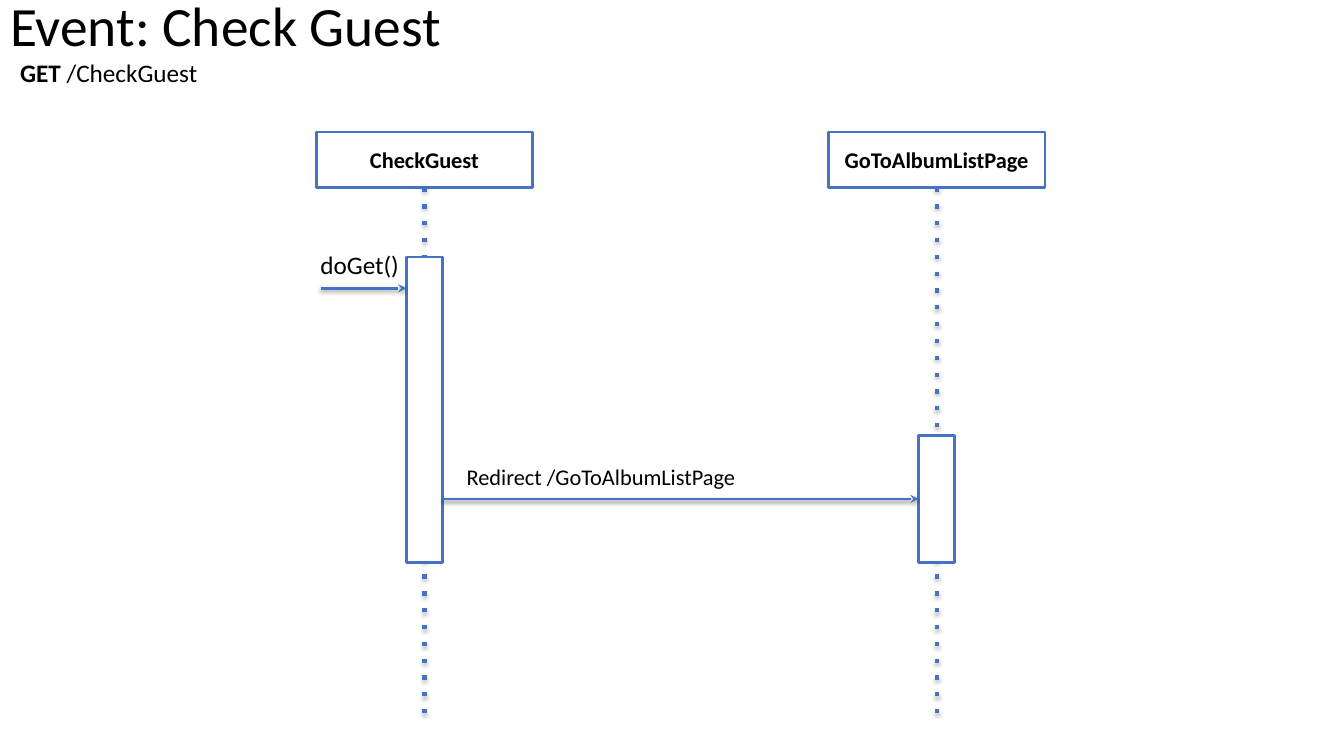
"""Build a sequence diagram slide for the Check Guest event."""
import lxml.etree
import pptx
import pptx.dml.color
import pptx.enum.shapes
import pptx.enum.text
import pptx.oxml.ns
import pptx.util

Inches, Pt = pptx.util.Inches, pptx.util.Pt
ALIGN, ANCHOR = pptx.enum.text.PP_ALIGN, pptx.enum.text.MSO_ANCHOR
FIT = pptx.enum.text.MSO_AUTO_SIZE

TITLE = ("Event: Check Guest", (0, 0.01, 4.97, 0.55))
LABELS = [
    ([("GET", True), (" /CheckGuest", False)], (0.1, 0.52, 1.98, 0.4), "body", False),
    ([("doGet()", False)], (3.08, 2.42, 0.99, 0.4), "body", False),
    ([("Redirect /GoToAlbumListPage", False)], (4.53, 4.55, 3.14, 0.37), "small", True),
]
LIFELINES = [
    {"name": "GoToAlbumListPage", "center": 9.29, "active": (4.32, 5.58)},
    {"name": "CheckGuest", "center": 4.21, "active": (2.55, 5.58)},
]
MESSAGES = [(3.18, 4.03, 2.86), (4.39, 9.11, 4.95)]

HEAD_TOP, HEAD_WIDTH, HEAD_HEIGHT = 1.31, 2.15, 0.55
LIFELINE_BOTTOM, BAR_WIDTH = 7.11, 0.36
THEME = {
    "font": "Calibri",
    "ink": pptx.dml.color.RGBColor.from_string("000000"),
    "paper": pptx.dml.color.RGBColor.from_string("FFFFFF"),
    "accent": pptx.dml.color.RGBColor.from_string("4472C4"),
    "title": 39.6, "body": 18, "small": 16,
    "outline": 2, "lifeline": 3,
}
LIFELINE_SHADOW = {"alpha": 35, "dist": 1.8}
MESSAGE_SHADOW = {"alpha": 38, "dist": 1.6}
SHADOW_BLUR = 3.1


def set_all(target, values):
    for key, value in values.items():
        setattr(target, key, value)


def add_child(parent, tag, **attributes):
    child = lxml.etree.SubElement(parent, pptx.oxml.ns.qn(tag))
    for key, value in attributes.items():
        child.set(key, str(value))
    return child


def write(frame, runs, size, frame_format, paragraph_format):
    set_all(frame, frame_format)
    paragraph = frame.paragraphs[0]
    set_all(paragraph, paragraph_format)
    for text, bold in runs:
        run = paragraph.add_run()
        run.text = text
        set_all(run.font, {"name": THEME["font"], "size": Pt(THEME[size]), "bold": bold})
        run.font.color.rgb = THEME["ink"]


def add_box(slide, left, top, width, height):
    box = slide.shapes.add_shape(
        pptx.enum.shapes.MSO_SHAPE.RECTANGLE, *map(Inches, (left, top, width, height)))
    box.shadow.inherit = False
    box.fill.solid()
    box.fill.fore_color.rgb = THEME["paper"]
    box.line.color.rgb = THEME["accent"]
    box.line.width = Pt(THEME["outline"])
    return box


def add_line(slide, start, end, weight, ending, shadow):
    line = slide.shapes.add_connector(
        pptx.enum.shapes.MSO_CONNECTOR.STRAIGHT, *map(Inches, start + end))
    line.line.color.rgb = THEME["accent"]
    line.line.width = Pt(THEME[weight])
    tag, attributes = ending
    add_child(line.line._get_or_add_ln(), tag, **attributes)
    effects = add_child(line._element.spPr, "a:effectLst")
    outer = add_child(effects, "a:outerShdw", blurRad=Pt(SHADOW_BLUR),
                      dist=Pt(shadow["dist"]), dir=90 * 60000, rotWithShape=0)
    color = add_child(outer, "a:srgbClr", val=THEME["ink"])
    add_child(color, "a:alpha", val=shadow["alpha"] * 1000)


def add_lifeline(slide, lifeline):
    center, (start, stop) = lifeline["center"], lifeline["active"]
    add_line(slide, (center, HEAD_TOP + HEAD_HEIGHT), (center, LIFELINE_BOTTOM),
             "lifeline", ("a:prstDash", {"val": "dot"}), LIFELINE_SHADOW)
    add_box(slide, center - BAR_WIDTH / 2, start, BAR_WIDTH, stop - start)
    head = add_box(slide, center - HEAD_WIDTH / 2, HEAD_TOP, HEAD_WIDTH, HEAD_HEIGHT)
    write(head.text_frame, [(lifeline["name"], True)], "small",
          {"vertical_anchor": ANCHOR.MIDDLE, "word_wrap": True,
           "margin_left": Inches(0.12), "margin_right": Inches(0.12),
           "margin_top": Inches(0.06), "margin_bottom": Inches(0.06)},
          {"alignment": ALIGN.CENTER})


def main():
    deck = pptx.Presentation()
    set_all(deck, {"slide_width": Inches(13.33), "slide_height": Inches(7.5)})
    slide = deck.slides.add_slide(deck.slide_layouts[5])

    heading, place = TITLE
    title = slide.shapes.title
    set_all(title, dict(zip(("left", "top", "width", "height"), map(Inches, place))))
    write(title.text_frame, [(heading, False)], "title",
          {"vertical_anchor": ANCHOR.MIDDLE, "word_wrap": True, "auto_size": FIT.NONE},
          {"alignment": ALIGN.LEFT, "line_spacing": 0.9})

    for runs, place, size, wrap in LABELS:
        label = slide.shapes.add_textbox(*map(Inches, place))
        write(label.text_frame, runs, size,
              {"word_wrap": wrap, "auto_size": FIT.SHAPE_TO_FIT_TEXT},
              {"alignment": ALIGN.LEFT})

    for lifeline in LIFELINES:
        add_lifeline(slide, lifeline)
    for left, right, height in MESSAGES:
        add_line(slide, (left, height), (right, height), "outline",
                 ("a:tailEnd", {"type": "stealth"}), MESSAGE_SHADOW)
    deck.save("out.pptx")


if __name__ == "__main__":
    main()
